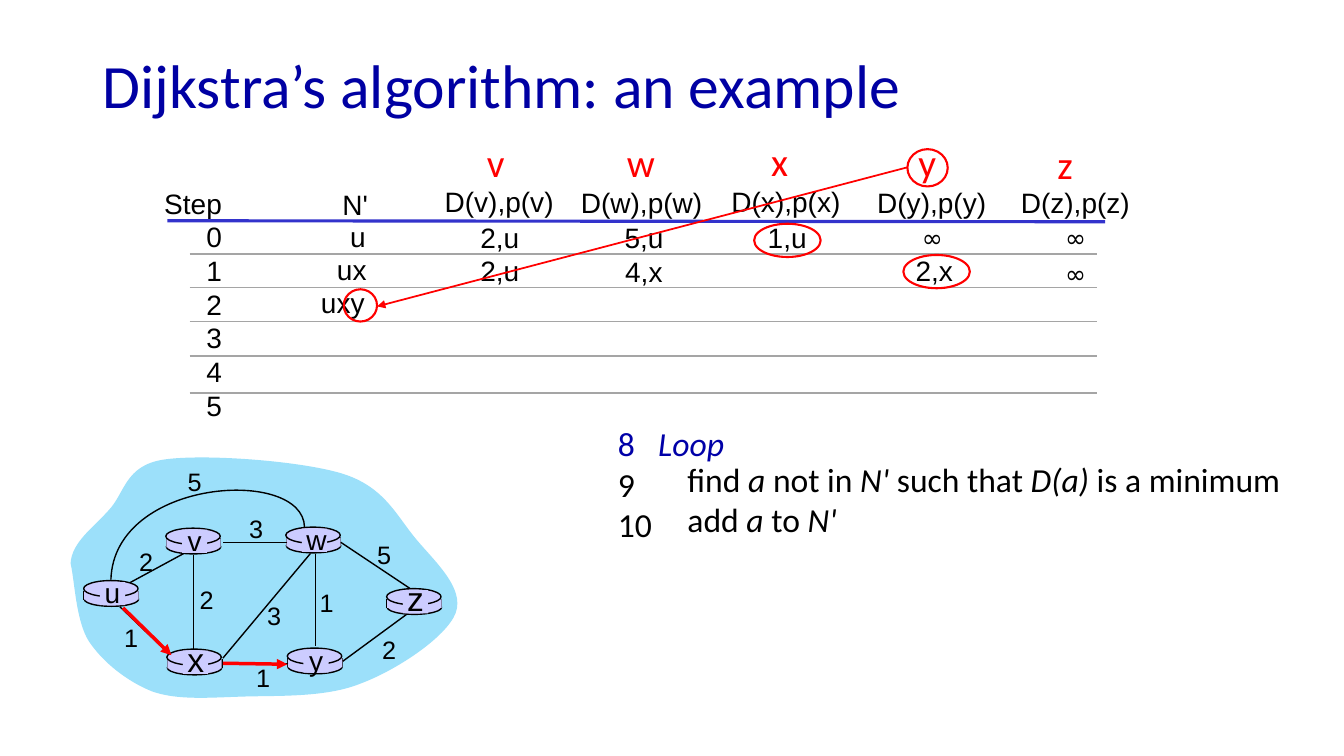
from lxml.etree import SubElement
from pptx import Presentation
from pptx.dml.color import RGBColor
from pptx.enum.shapes import MSO_CONNECTOR, MSO_SHAPE
from pptx.enum.text import MSO_ANCHOR, PP_ALIGN
from pptx.oxml.ns import qn
from pptx.util import Inches, Pt

COLORS = {"title": "0000A3", "loop": "0000A8", "black": "000000", "red": "FF0000",
          "header": "3333CC", "rule": "A5A5A5", "cloud": "9CE0FA", "router": "CCCCFF"}
CELL = Inches(0.1)  # one column or row of the layout grid
RIGHT, CENTER, LEFT = PP_ALIGN.RIGHT, PP_ALIGN.CENTER, PP_ALIGN.LEFT


def color(name):
    return RGBColor.from_string(COLORS[name])


def grid(*lengths):
    return [round(length * CELL) for length in lengths]


class Board:
    def __init__(self, presentation):
        self.slide = presentation.slides.add_slide(presentation.slide_layouts[5])
        self.shapes = self.slide.shapes

    def font(self, paragraph, size, ink="black", name="Arial"):
        paragraph.font.size = Pt(size)
        paragraph.font.name = name
        paragraph.font.color.rgb = color(ink)

    def title(self, text, *box):
        title = self.shapes.title
        title.left, title.top, title.width, title.height = grid(*box)
        title.text_frame.text = text
        title.text_frame.vertical_anchor = MSO_ANCHOR.MIDDLE
        paragraph = title.text_frame.paragraphs[0]
        paragraph.alignment, paragraph.line_spacing = LEFT, 0.9
        self.font(paragraph, 44, "title", "Calibri")

    def text(self, lines, box, size=20, ink="black", name="Arial", align=RIGHT):
        """Each line is a string or a list of (text, italic) runs."""
        frame = self.shapes.add_textbox(*grid(*box)).text_frame
        frame.word_wrap = False
        for number, line in enumerate(lines):
            paragraph = frame.add_paragraph() if number else frame.paragraphs[0]
            paragraph.alignment = align
            self.font(paragraph, size, ink, name)
            for text, italic in [(line, False)] if isinstance(line, str) else line:
                run = paragraph.add_run()
                run.text = text
                if italic:
                    run.font.italic = True
        return frame

    def paint(self, shape, fill=None, line=None, width=1.0):
        shape.shadow.inherit = False
        if fill:
            shape.fill.solid()
            shape.fill.fore_color.rgb = color(fill)
        else:
            shape.fill.background()
        if line:
            shape.line.color.rgb = color(line)
            shape.line.width = Pt(width)
        else:
            shape.line.fill.background()

    def shape(self, kind, box, **style):
        self.paint(self.shapes.add_shape(kind, *grid(*box)), **style)

    def ring(self, *box):
        self.shape(MSO_SHAPE.OVAL, box, line="red", width=1.5)

    def curve(self, start, segments, close, **style):
        """Each segment holds two control points and an end point."""
        points = [grid(*point) for segment in segments for point in segment]
        builder = self.shapes.build_freeform(*grid(*start))
        builder.add_line_segments(points, close=close)
        shape = builder.convert_to_shape()
        # Join every three straight segments into one cubic curve
        steps = list(shape._element.iter(qn("a:lnTo")))
        for first, second, end in zip(steps[::3], steps[1::3], steps[2::3]):
            first.tag = qn("a:cubicBezTo")
            for step in (second, end):
                first.append(step[0])
                step.getparent().remove(step)
        self.paint(shape, **style)

    def line(self, ends, ink="black", width=1.0, arrow=False):
        connector = self.shapes.add_connector(MSO_CONNECTOR.STRAIGHT, *grid(*ends))
        connector.line.color.rgb = color(ink)
        connector.line.width = Pt(width)
        if arrow:
            SubElement(connector.line._get_or_add_ln(), qn("a:tailEnd"), type="triangle")
        SubElement(connector._element.spPr, qn("a:effectLst"))

    def router(self, x, y):
        self.shape(MSO_SHAPE.OVAL, (x, y + 0.15, 5.4, 1.4), fill="router", line="black")
        for side in (x, x + 5.4):
            self.line((side, y, side, y + 0.9))
        self.shape(MSO_SHAPE.RECTANGLE, (x, y, 5.4, 0.9), fill="router")
        self.shape(MSO_SHAPE.OVAL, (x - 0.05, y - 1, 5.4, 1.6), fill="router", line="black")

    def router_name(self, name, x, y, size):
        self.shape(MSO_SHAPE.RECTANGLE, (x + 1.55, y - 0.85, 2.5, 2.3), fill="router")
        top = y - (1.95 if size == 20 else 2.55)
        self.text([name], (x + 1, top, 3.6, 4.4), size, align=CENTER)


def draw_table(board):
    # Step column and headings
    steps = board.text(["Step", *"012345"], (15.3, 18, 7.7, 24.3))
    for paragraph in steps.paragraphs:
        paragraph.line_spacing = Pt(24)
    board.text(["N'"], (32.9, 18.1, 4.6, 4.4))
    columns = {"v": (47.3, 13.2, 55.9, 17.8), "w": (61.2, 13.2, 70.65, 17.9),
               "x": (75.5, 13.1, 84.35, 17.8), "y": (90.1, 13.2, 98.8, 17.9),
               "z": (103.9, 13.4, 113.05, 17.9)}
    for node, (left, top, right, heading_top) in columns.items():
        width, letter_width = (14.2, 4.8) if node == "w" else (12.9, 3.7)
        board.text([f"D({node}),p({node})"], (right - width, heading_top, width, 4.4))
        board.text([node], (left, top, letter_width, 5.7), 28, "red", "Calibri", LEFT)
    # Rules between the steps
    board.line((16.6, 21.9, 109.6, 22), "header", 2.25)
    for y in (25.2, 28.5, 31.9, 35.3, 39):
        board.line((18.8, y, 108.8, y), "rule")
    # Known nodes and distances
    for text, right, top in (("u", 37.25, 21.25), ("ux", 37.35, 24.55), ("uxy", 37.15, 27.8),
                             ("2,u", 52.5, 21.4), ("5,u", 66.8, 21.35), ("1,u", 81, 21.35),
                             ("2,u", 52.5, 24.7), ("4,x", 66.7, 24.8), ("2,x", 95.5, 24.7)):
        width = 2 + 1.5 * len(text) - 0.6 * ("," in text)
        board.text([text], (right - width, top, width, 4.4))
    for right, top in ((94.5, 21.6), (108.7, 21.6), (108.7, 25.15)):
        board.text(["∞"], (right - 4.1, top, 4.1, 4), 18, name="Comic Neue")
    # Chosen entries
    board.ring(74.8, 22.2, 6.6, 3.3)
    board.ring(89.6, 25.3, 6.6, 3.3)
    board.ring(90, 14.8, 4, 3.7)
    board.ring(34.1, 28.7, 3.3, 3.2)
    board.line((90, 16.6, 37.4, 30.4), "red", 1.25, arrow=True)


def draw_loop(board):
    numbers = board.text([[("8\t", False), ("Loop", True)], "9", "10"],
                         (60.3, 41.5, 13.4, 13), 24, name="Calibri", align=LEFT)
    heading = numbers.paragraphs[0]
    heading.font.color.rgb = color("loop")
    properties = heading._p.get_or_add_pPr()
    properties.set("marL", str(Inches(0.4)))
    properties.set("indent", str(-Inches(0.4)))
    board.text([[("find ", False), ("a", True), (" not in ", False), ("N' ", True),
                 ("such that ", False), ("D(a) ", True), ("is a minimum", False)],
                [("add ", False), ("a", True), (" to ", False), ("N'", True)]],
               (67.2, 45, 63.4, 9), 24, name="Calibri", align=LEFT)


def draw_network(board):
    # Cloud
    cloud = [((7.1, 53.8), (9.3, 52.3), (10.8, 50.6)), ((12.4, 48.9), (12.4, 46.2), (16.2, 45.6)),
             ((20.1, 45), (29.8, 45.7), (34, 47)), ((38.1, 48.3), (39.3, 51.1), (41.2, 53.4)),
             ((43.1, 55.7), (46.1, 58.3), (45.2, 60.8)), ((44.3, 63.2), (39.3, 66.5), (35.8, 67.8)),
             ((32.4, 69.2), (27.7, 69), (24.3, 69.1)), ((20.8, 69.2), (17.7, 69.5), (15.1, 68.6)),
             ((12.6, 67.6), (10.2, 65.7), (8.8, 63.6)), ((7.5, 61.5), (7.4, 57.5), (7, 55.9))]
    board.curve((7, 55.9), cloud, True, fill="cloud")
    # Links and routers
    routers = {"u": (8.35, 58.6, 20), "y": (28.55, 65.3, 20), "x": (16.6, 65.4, 24),
               "w": (28.4, 53.3, 20), "v": (16.5, 53.4, 20), "z": (38.4, 59.4, 24)}
    board.line((12.9, 57.8, 18.8, 54.6))
    for x, y, _ in routers.values():
        board.router(x, y)
    for link in ((31.3, 55, 31.3, 64.1), (19.2, 55.1, 19.2, 64.5), (22.1, 65.3, 30.8, 54.9),
                 (34, 65.6, 40.4, 60.9), (28.6, 65.8, 22.2, 65.8), (16.7, 64.8, 11.9, 60.2),
                 (28.5, 53.8, 22.1, 53.8), (40.7, 58.4, 33.8, 53.8)):
        board.line(link)
    board.curve((30.2, 52.3), [((30.1, 46.3), (11.3, 47.4), (11, 57.5))], False, line="black")
    for name, place in routers.items():
        board.router_name(name, *place)
    # Link costs
    for cost, x, y in ((2, 12.8, 53.7), (2, 18.8, 57.5), (1, 11.3, 61.2), (3, 25.5, 59.1),
                       (1, 24.4, 65.2), (1, 30.7, 57.8), (2, 36.9, 62.4), (5, 36.4, 53),
                       (3, 23.7, 50.4), (5, 17.6, 45.8)):
        board.text([str(cost)], (x, y, 3.4, 4), 18, align=CENTER)
    # Shortest path so far
    for hop in ((12.2, 60.3, 17, 65), (22.1, 65.8, 28.5, 65.9)):
        board.line(hop, "red", 2.5, arrow=True)


def main():
    presentation = Presentation()
    presentation.slide_width, presentation.slide_height = Inches(13.33), Inches(7.5)
    board = Board(presentation)
    board.title("Dijkstra’s algorithm: an example", 9.2, 3.9, 122.3, 9.8)
    draw_table(board)
    draw_loop(board)
    draw_network(board)
    presentation.save("out.pptx")


if __name__ == "__main__":
    main()
